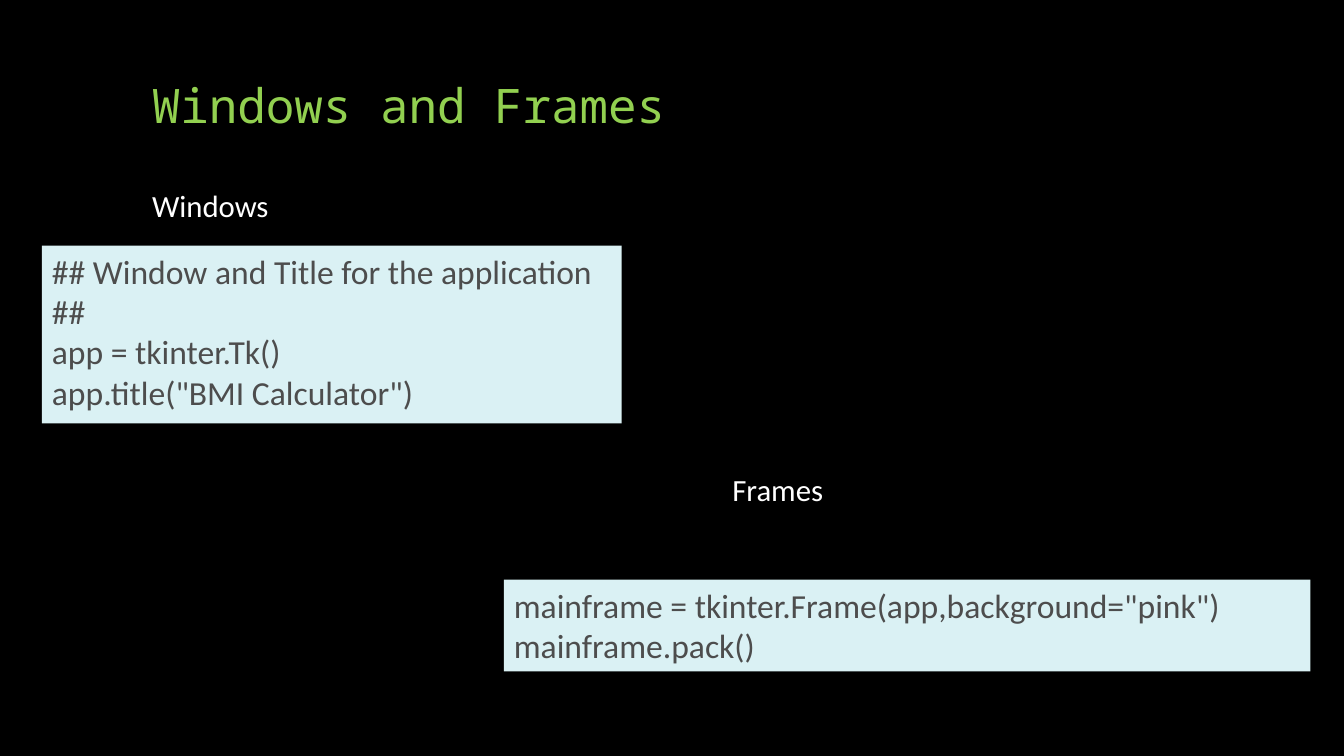
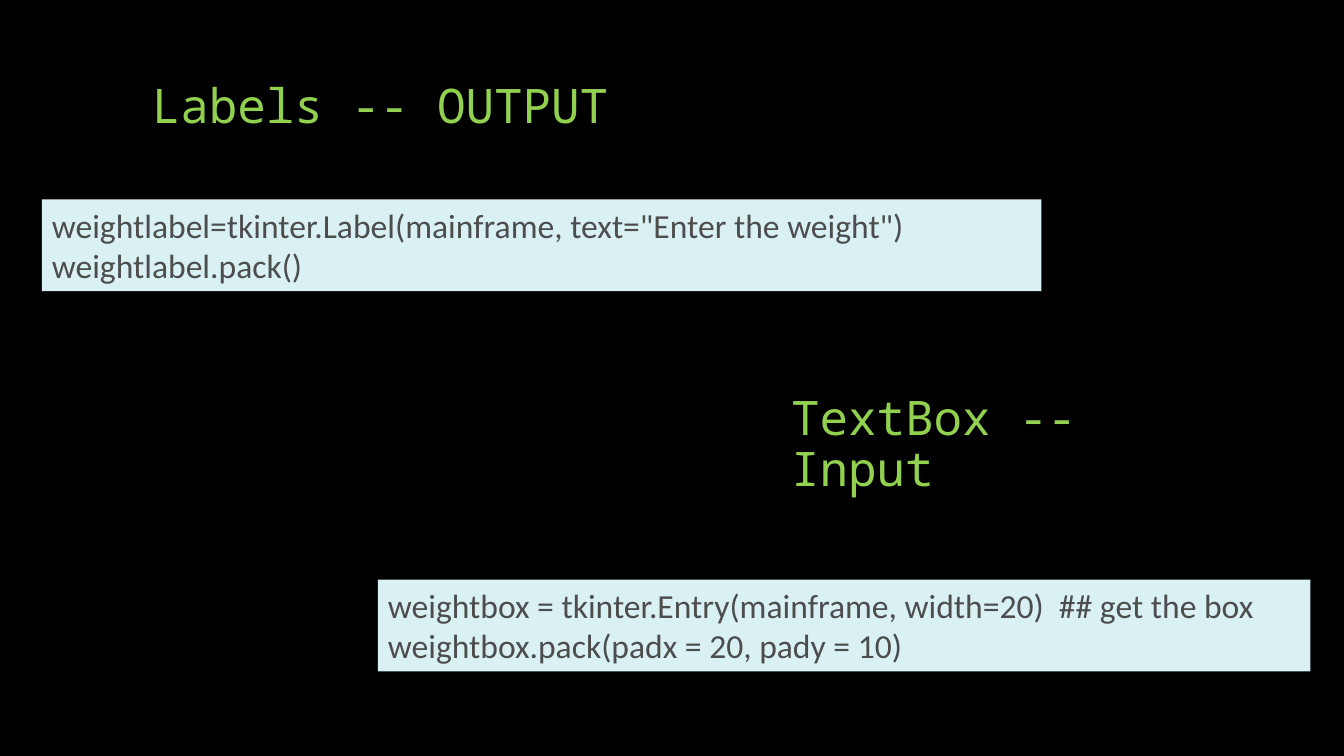
from pptx import Presentation
from pptx.dml.color import RGBColor
from pptx.enum.shapes import MSO_SHAPE
from pptx.enum.text import MSO_ANCHOR, PP_ALIGN
from pptx.util import Pt

RECTANGLE = MSO_SHAPE.RECTANGLE
TOP, MIDDLE, BOTTOM = MSO_ANCHOR.TOP, MSO_ANCHOR.MIDDLE, MSO_ANCHOR.BOTTOM
LEFT = PP_ALIGN.LEFT

BLACK = RGBColor(0x00, 0x00, 0x00)
WHITE = RGBColor(0xFF, 0xFF, 0xFF)
GREEN = RGBColor(0x92, 0xD0, 0x50)
PALE_BLUE = RGBColor(0xDA, 0xF1, 0xF4)
GREY = RGBColor(0x4D, 0x4D, 0x4D)

# font, size, colour, anchor, line spacing
HEADING = ("Noto Sans Mono", 34, GREEN, BOTTOM, 0.9)
LABEL = ("Calibri", 22, WHITE, MIDDLE, 0.9)
CODE = ("Calibri", 24, GREY, TOP, 1.0)

# Each text: style, (left, top, width, height) in points, lines
SLIDES = [
    [
        (HEADING, (101.5, 9, 720, 90), ["Windows and Frames"]),
        (LABEL, (101.5, 121.5, 342, 54), ["Windows"]),
        (LABEL, (516, 324, 342, 54), ["Frames"]),
        (CODE, (30, 175.5, 414, 127), [
            "## Window and Title for the application ##",
            "app = tkinter.Tk()",
            'app.title("BMI Calculator")',
        ]),
        (CODE, (360, 414, 576, 65.5), [
            'mainframe = tkinter.Frame(app,background="pink")',
            "mainframe.pack()",
        ]),
    ],
    [
        (HEADING, (101.5, 9, 468, 90), ["Labels -- OUTPUT"]),
        (CODE, (30, 142.5, 714, 65.5), [
            'weightlabel=tkinter.Label(mainframe, text="Enter the weight")',
            "weightlabel.pack()",
        ]),
        (CODE, (270, 414, 666, 65.5), [
            "weightbox = tkinter.Entry(mainframe, width=20)  ## get the box",
            "weightbox.pack(padx = 20, pady = 10)",
        ]),
        (HEADING, (558, 268.5, 318, 90), ["TextBox --Input"]),
    ],
]

prs = Presentation()
prs.slide_width, prs.slide_height = Pt(960), Pt(540)
backdrop = prs.slide_master.background.fill
backdrop.solid()
backdrop.fore_color.rgb = BLACK

for texts in SLIDES:
    slide = prs.slides.add_slide(prs.slide_layouts[6])
    for style, bounds, lines in texts:
        font_name, size, colour, anchor, spacing = style
        place = [Pt(length) for length in bounds]
        if style is CODE:
            block = slide.shapes.add_shape(RECTANGLE, *place)
            block.shadow.inherit = False
            block.fill.solid()
            block.fill.fore_color.rgb = PALE_BLUE
            block.line.fill.background()
        else:
            block = slide.shapes.add_textbox(*place)

        frame = block.text_frame
        frame.word_wrap = True
        frame.vertical_anchor = anchor
        for number, line in enumerate(lines):
            paragraph = frame.add_paragraph() if number else frame.paragraphs[0]
            paragraph.alignment = LEFT
            paragraph.line_spacing = spacing
            run = paragraph.add_run()
            run.text = line
            run.font.name = font_name
            run.font.size = Pt(size)
            run.font.color.rgb = colour

prs.save("out.pptx")
